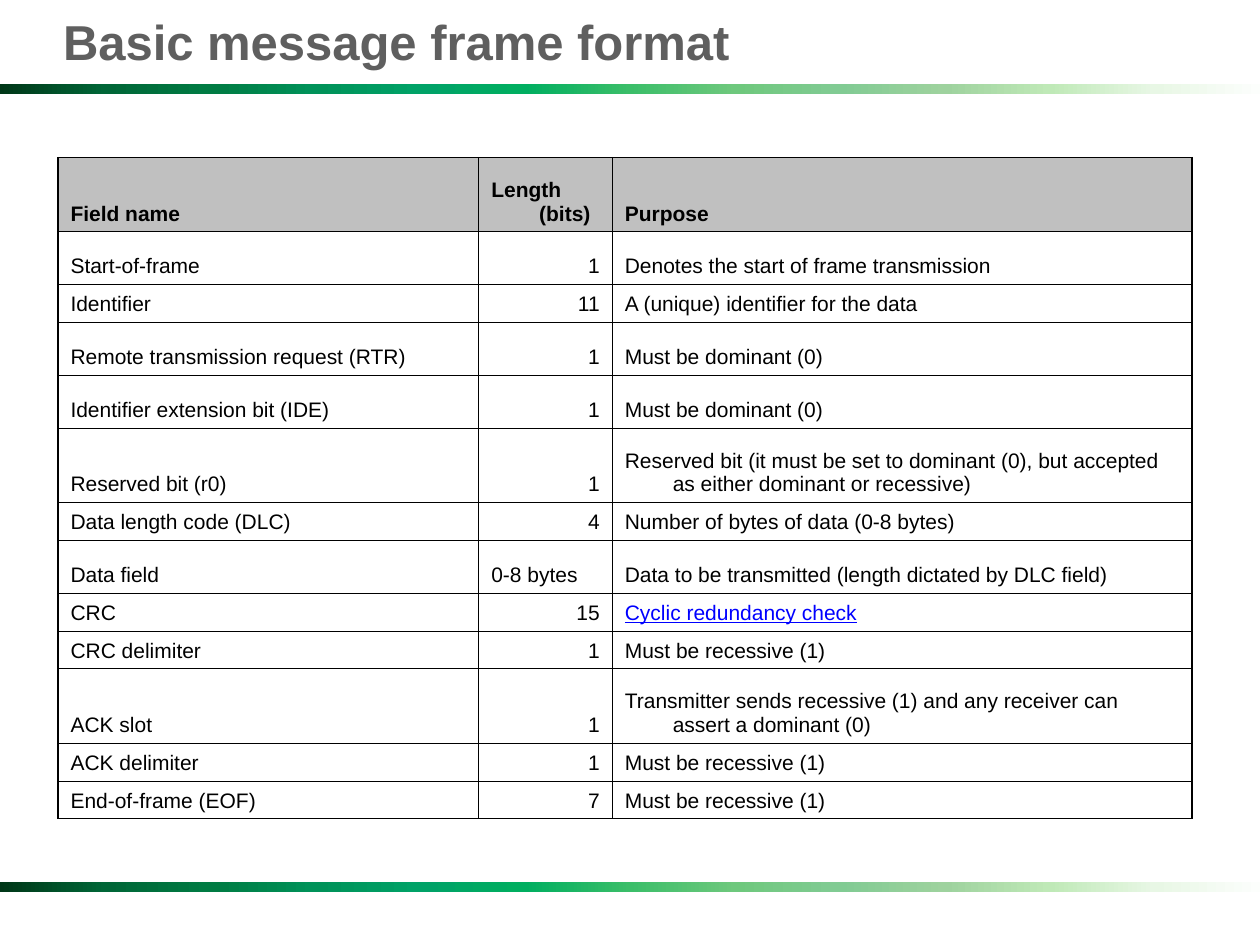
from itertools import pairwise

from lxml import etree
from pptx import Presentation
from pptx import util as u
from pptx.dml.color import RGBColor
from pptx.enum import shapes, text
from pptx.oxml import ns

FONT = "Arial"
BAND_COLOURS = ["003718", "006637", "007B43", "009259", "00A267", "00AE60", "3BBE69",
                "6EC87D", "81CB93", "9ED29E", "BFE9B7", "E8F7E5", "FCFEFC"]
COLUMN_WIDTHS = [3.34, 1.06, 4.6]
SHORT, MEDIUM, TALL = 0.3, 0.42, 0.59
LINK_TEXT = "Cyclic redundancy check"
ROWS = [
    (TALL, "Field name", "Length (bits)", "Purpose"),
    (MEDIUM, "Start-of-frame", "1", "Denotes the start of frame transmission"),
    (SHORT, "Identifier", "11", "A (unique) identifier for the data"),
    (MEDIUM, "Remote transmission request (RTR)", "1", "Must be dominant (0)"),
    (MEDIUM, "Identifier extension bit (IDE)", "1", "Must be dominant (0)"),
    (TALL, "Reserved bit (r0)", "1",
     "Reserved bit (it must be set to dominant (0), but accepted as either dominant or recessive)"),
    (SHORT, "Data length code (DLC)", "4", "Number of bytes of data (0-8 bytes)"),
    (MEDIUM, "Data field", "0-8 bytes", "Data to be transmitted (length dictated by DLC field)"),
    (SHORT, "CRC", "15", LINK_TEXT),
    (SHORT, "CRC delimiter", "1", "Must be recessive (1)"),
    (TALL, "ACK slot", "1",
     "Transmitter sends recessive (1) and any receiver can assert a dominant (0)"),
    (SHORT, "ACK delimiter", "1", "Must be recessive (1)"),
    (SHORT, "End-of-frame (EOF)", "7", "Must be recessive (1)"),
]


def colour(value):
    """Return the colour for a hex string."""
    return RGBColor.from_string(value)


def write(para, words, size=12, ink="000000", bold=False, underline=False,
          align=text.PP_ALIGN.LEFT, hanging=0):
    """Write formatted words into a paragraph."""
    para.alignment = align
    if hanging:
        properties = para._p.get_or_add_pPr()
        properties.set("marL", str(u.Inches(hanging)))
        properties.set("indent", str(-u.Inches(hanging)))
    span = para.add_run()
    span.text = words
    span.font.name = FONT
    span.font.size = u.Pt(size)
    span.font.bold = bold
    span.font.underline = underline
    span.font.color.rgb = colour(ink)


def add_band(page, top):
    """Draw a full-width band of gradient segments."""
    width = 10 / (len(BAND_COLOURS) - 1)
    for index, ends in enumerate(pairwise(BAND_COLOURS)):
        segment = page.shapes.add_shape(
            shapes.MSO_SHAPE.RECTANGLE, u.Inches(index * width), u.Inches(top),
            u.Inches(width), u.Inches(0.08))
        segment.shadow.inherit = False
        segment.line.fill.background()
        segment.fill.gradient()
        segment.fill.gradient_angle = 0
        for stop, value in zip(segment.fill.gradient_stops, ends):
            stop.color.rgb = colour(value)


def add_title(page, words):
    """Place the title in front of the bands."""
    title = page.shapes.title
    title.element.getparent().append(title.element)
    title.left, title.top = u.Inches(0.5), u.Inches(0)
    title.width, title.height = u.Inches(9), u.Inches(1.25)
    frame = title.text_frame
    frame.word_wrap = True
    frame.auto_size = text.MSO_AUTO_SIZE.NONE
    frame.vertical_anchor = text.MSO_ANCHOR.TOP
    frame.margin_left, frame.margin_top = u.Inches(0), u.Inches(0.09)
    write(frame.paragraphs[0], words, size=28, ink="5F5F5F", bold=True)


def set_borders(cell, outer_sides):
    """Rule a cell, with heavier lines on the table's outer sides."""
    properties = cell._tc.get_or_add_tcPr()
    for index, side in enumerate("LRTB"):
        line = etree.Element(ns.qn(f"a:ln{side}"))
        line.set("w", str(u.Pt(0.96 if side in outer_sides else 0.45)))
        fill = etree.SubElement(line, ns.qn("a:solidFill"))
        etree.SubElement(fill, ns.qn("a:srgbClr")).set("val", "000000")
        properties.insert(index, line)


def fill_cell(cell, words, header, numeric, outer_sides):
    """Fill and format one table cell."""
    cell.vertical_anchor = text.MSO_ANCHOR.BOTTOM
    if header:
        cell.fill.solid()
        cell.fill.fore_color.rgb = colour("C0C0C0")
    else:
        cell.fill.background()
    link = words == LINK_TEXT
    write(cell.text_frame.paragraphs[0], words, bold=header, underline=link, hanging=0.38,
          ink="0000FF" if link else "000000",
          align=text.PP_ALIGN.RIGHT if numeric else text.PP_ALIGN.LEFT)
    set_borders(cell, outer_sides)


def add_field_table(page):
    """Add the table of frame fields."""
    last_row, last_column = len(ROWS) - 1, len(COLUMN_WIDTHS) - 1
    table = page.shapes.add_table(
        len(ROWS), len(COLUMN_WIDTHS), u.Inches(0.46), u.Inches(1.25),
        u.Inches(sum(COLUMN_WIDTHS)), u.Inches(sum(row[0] for row in ROWS))).table
    table.first_row = table.horz_banding = False
    for column, width in zip(table.columns, COLUMN_WIDTHS):
        column.width = u.Inches(width)
    for r, (height, *entries) in enumerate(ROWS):
        table.rows[r].height = u.Inches(height)
        for c, words in enumerate(entries):
            edges = {"L": c == 0, "R": c == last_column, "T": r == 0, "B": r == last_row}
            outer_sides = [side for side, is_outer in edges.items() if is_outer]
            fill_cell(table.cell(r, c), words, r == 0, words.isdigit(), outer_sides)


def main():
    """Build and save the slide."""
    deck = Presentation()
    deck.slide_width, deck.slide_height = u.Inches(10), u.Inches(7.5)
    page = deck.slides.add_slide(deck.slide_layouts[5])
    for top in (0.67, 7):
        add_band(page, top)
    add_title(page, "Basic message frame format")
    add_field_table(page)
    deck.save("out.pptx")


if __name__ == "__main__":
    main()
